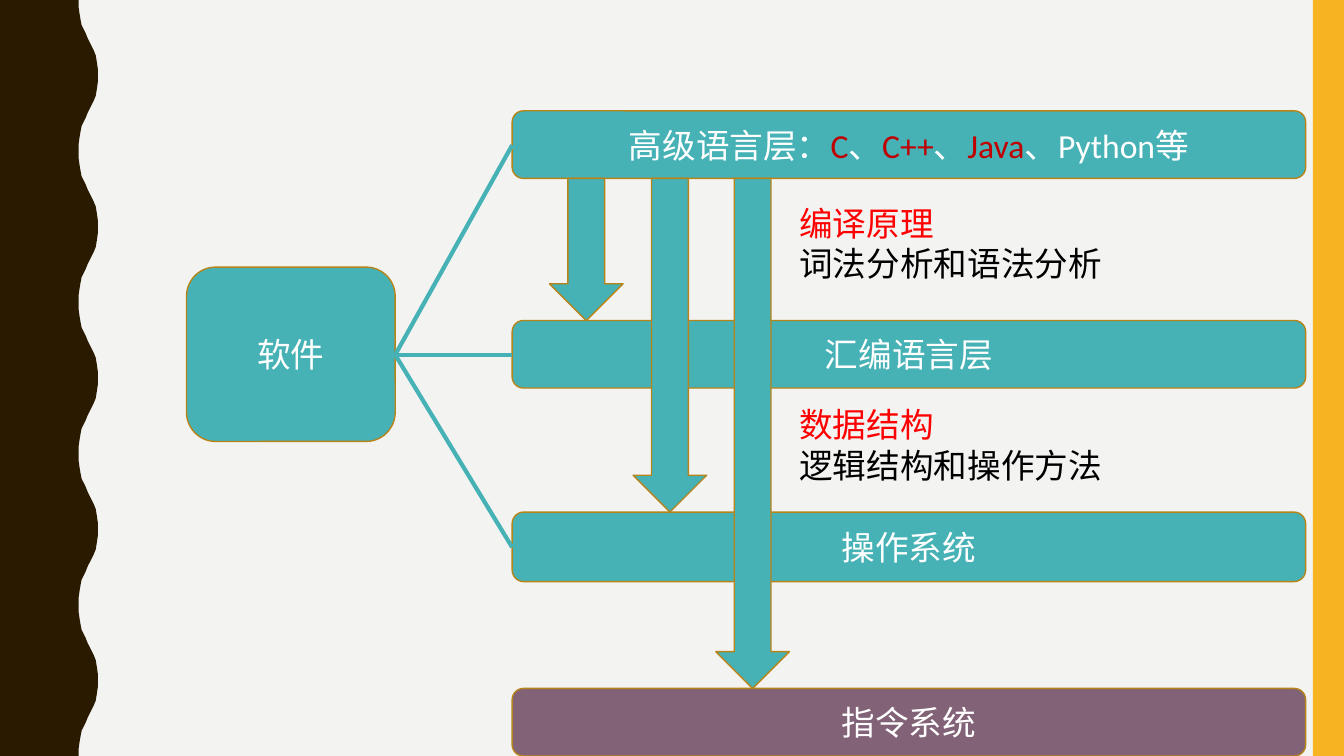
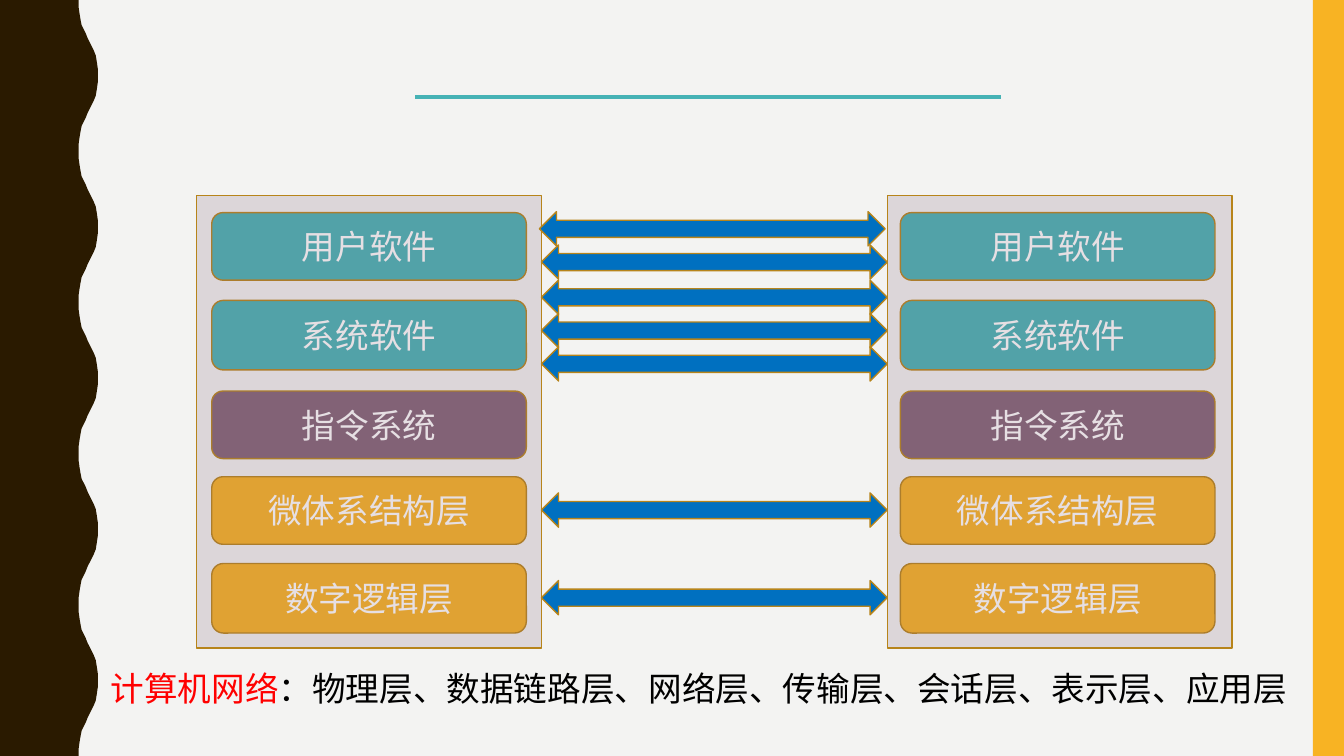
from dataclasses import dataclass

from lxml.etree import SubElement
from pptx import Presentation
from pptx.dml.color import RGBColor
from pptx.enum.shapes import MSO_CONNECTOR, MSO_SHAPE
from pptx.enum.text import MSO_ANCHOR, MSO_AUTO_SIZE, PP_ALIGN
from pptx.oxml.ns import qn
from pptx.util import Emu, Pt


@dataclass(frozen=True)
class Theme:
    paper: str = "F3F3F2"
    brown: str = "2A1A00"
    gold: str = "F8B323"
    outline: str = "B7841A"
    teal: str = "46B2B5"
    plum: str = "826276"
    blue: str = "0070C0"
    white: str = "FFFFFF"
    black: str = "000000"
    red: str = "FF0000"
    dark_red: str = "C00000"
    font: str = "Calibri"
    text_size: int = 24
    outline_width: int = 1
    rule_width: int = 3


THEME = Theme()
PX = 9144  # 100 px to the inch
WIDTH, HEIGHT = 1333, 750


def block(slide, box, *paragraphs, preset=None, fill=None, opacity=100,
          outline=THEME.outline, color=THEME.white, align=PP_ALIGN.CENTER, wrap=True):
    """Draw a preset shape or a text box; a paragraph is a string or a list of (text, colour)."""
    place = [Emu(length * PX) for length in box]
    if preset is None:
        shape = slide.shapes.add_textbox(*place)
    else:
        shape = slide.shapes.add_shape(preset, *place)
        shape.shadow.inherit = False
        shape.fill.solid()
        shape.fill.fore_color.rgb = RGBColor.from_string(fill)
        if opacity < 100:
            solid_color = shape.element.spPr.find(qn("a:solidFill"))[0]
            SubElement(solid_color, qn("a:alpha"), val=str(opacity * 1000))
        if outline:
            shape.line.color.rgb = RGBColor.from_string(outline)
            shape.line.width = Pt(THEME.outline_width)
        else:
            shape.line.fill.background()
    if paragraphs:
        frame = shape.text_frame
        frame.word_wrap = wrap
        if preset is None:
            frame.auto_size = MSO_AUTO_SIZE.SHAPE_TO_FIT_TEXT
        else:
            frame.vertical_anchor = MSO_ANCHOR.MIDDLE
    for index, content in enumerate(paragraphs):
        paragraph = frame.add_paragraph() if index else frame.paragraphs[0]
        paragraph.alignment = align
        for text, run_color in [(content, color)] if isinstance(content, str) else content:
            run = paragraph.add_run()
            run.text = text
            run.font.name = THEME.font
            run.font.size = Pt(THEME.text_size)
            run.font.color.rgb = RGBColor.from_string(run_color)
    return shape


def rule(slide, start, end):
    """Draw a teal line between two points."""
    ends = [Emu(length * PX) for length in (*start, *end)]
    line = slide.shapes.add_connector(MSO_CONNECTOR.STRAIGHT, *ends)
    line.line.color.rgb = RGBColor.from_string(THEME.teal)
    line.line.width = Pt(THEME.rule_width)
    SubElement(line.element.spPr, qn("a:effectLst"))


deck = Presentation()
deck.slide_width, deck.slide_height = Emu(WIDTH * PX), Emu(HEIGHT * PX)
blank = deck.slide_layouts[6]
software = deck.slides.add_slide(blank)
network = deck.slides.add_slide(blank)

# Master: paper, wavy left edge and gold right band
master = deck.slide_master
master.background.fill.solid()
master.background.fill.fore_color.rgb = RGBColor.from_string(THEME.paper)

WAVE_LENGTH = 150
swell = [(78, 0), (78, 7), (79, 14), (80, 20), (81, 25), (83, 29), (85, 33), (87, 38),
         (89, 42), (91, 46), (93, 50), (95, 55), (96, 61), (97, 68), (97, 75)]
ebb = [(x, WAVE_LENGTH - y) for x, y in reversed(swell[:-1])]
crests = [(x, y + top) for top in range(0, HEIGHT, WAVE_LENGTH) for x, y in swell + ebb]
builder = software.shapes.build_freeform(0, 0, scale=PX)
builder.add_line_segments(crests + [(0, HEIGHT)], close=True)
wave = builder.convert_to_shape()
wave.shadow.inherit = False
wave.fill.solid()
wave.fill.fore_color.rgb = RGBColor.from_string(THEME.brown)
wave.line.fill.background()
band = block(software, (1302, 0, 31, HEIGHT), preset=MSO_SHAPE.RECTANGLE,
             fill=THEME.gold, outline=None)
for number, decoration in enumerate((wave, band)):
    decoration.element.nvSpPr.cNvPr.set("id", str(100 + number))
    master.shapes.element.insert(2 + number, decoration.element)

# Slide 1: language layers
LAYER_LEFT, LAYER_WIDTH = 508, 787
languages = [("高级语言层：", THEME.white), ("C", THEME.dark_red), ("、", THEME.white),
             ("C++", THEME.dark_red), ("、", THEME.white), ("Java", THEME.dark_red),
             ("、Python等", THEME.white)]
layers = [(languages, 110, 67, THEME.teal), ("汇编语言层", 318, 67, THEME.teal),
          ("操作系统", 508, 69, THEME.teal), ("指令系统", 683, 67, THEME.plum)]
for label, top, height, fill in layers:
    block(software, (LAYER_LEFT, top, LAYER_WIDTH, height), label,
          preset=MSO_SHAPE.ROUNDED_RECTANGLE, fill=fill)
block(software, (185, 265, 207, 173), "软件",
      preset=MSO_SHAPE.ROUNDED_RECTANGLE, fill=THEME.teal)

# Slide 1: branches from software to its three layers
for label, top, height, fill in layers[:3]:
    rule(software, (392, 352), (LAYER_LEFT, top + (height + 1) // 2))

# Slide 1: translation arrows, from the top layer to each lower one
arrow_top = 177
for left, (label, layer_top, height, fill) in zip((545, 628, 710), layers[1:]):
    block(software, (left, arrow_top, 73, layer_top - arrow_top),
          preset=MSO_SHAPE.DOWN_ARROW, fill=THEME.teal)

# Slide 1: courses that explain the steps
courses = [("编译原理", "词法分析和语法分析", 196), ("数据结构", "逻辑结构和操作方法", 396)]
for course, topic, top in courses:
    block(software, (783, top, 323, 91), [(course, THEME.red)], topic,
          color=THEME.black, align=PP_ALIGN.LEFT, wrap=False)

# Slide 2: title rule
rule(network, (412, 96), (993, 96))

# Slide 2: two computers, each a stack under a translucent panel
stack = [("用户软件", 211, 67, THEME.teal), ("系统软件", 298, 69, THEME.teal),
         ("指令系统", 388, 67, THEME.plum), ("微体系结构层", 473, 67, THEME.gold),
         ("数字逻辑层", 559, 69, THEME.gold)]
for panel_left, stack_left in ((195, 210), (880, 893)):
    for label, top, height, fill in stack:
        block(network, (stack_left, top, 312, height), label,
              preset=MSO_SHAPE.ROUNDED_RECTANGLE, fill=fill)
    block(network, (panel_left, 194, 342, 449), preset=MSO_SHAPE.RECTANGLE,
          fill=THEME.plum, opacity=20)

# Slide 2: seven protocol layers between the computers
protocols = [(535, 210), (537, 243), (537, 278), (537, 311), (537, 344), (537, 489), (537, 576)]
for left, top in reversed(protocols):
    block(network, (left, top, 343, 34), preset=MSO_SHAPE.LEFT_RIGHT_ARROW, fill=THEME.blue)

# Slide 2: names of the protocol layers
block(network, (100, 658, 1217, 50),
      [("计算机网络", THEME.red),
       ("：物理层、数据链路层、网络层、传输层、会话层、表示层、应用层", THEME.black)],
      align=PP_ALIGN.LEFT)

deck.save("out.pptx")
